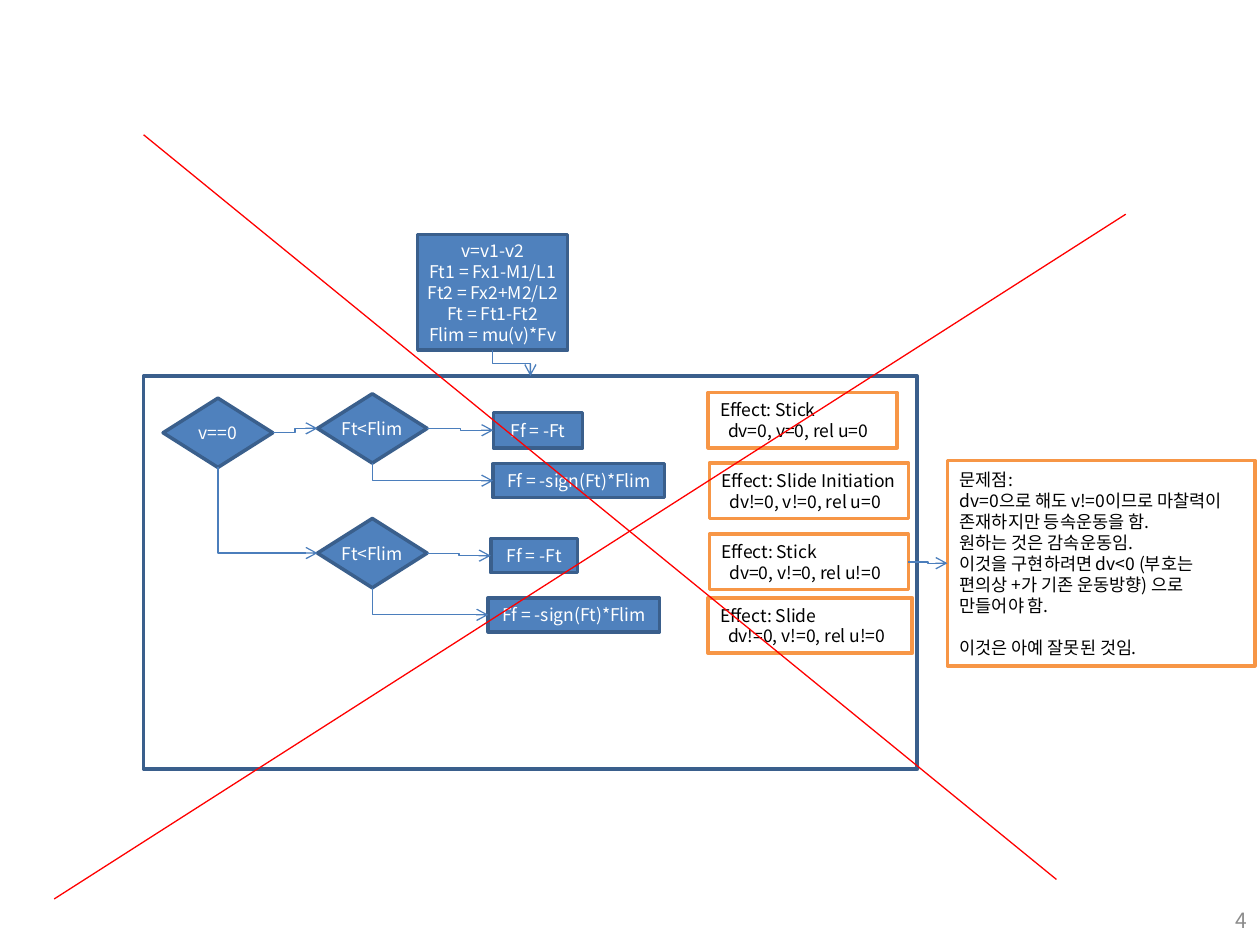
from dataclasses import dataclass
from lxml import etree
from pptx import Presentation, util as u
from pptx.dml.color import RGBColor
from pptx.enum import shapes, text
from pptx.oxml.ns import qn

BLUE = RGBColor(0x4F, 0x81, 0xBD)
NAVY = RGBColor(0x3A, 0x5F, 0x8C)
ARROW = RGBColor(0x4B, 0x7E, 0xBC)
ORANGE = RGBColor(0xF7, 0x96, 0x46)
WHITE = RGBColor(0xFF, 0xFF, 0xFF)
BLACK = RGBColor(0, 0, 0)
GRAY = RGBColor(0x8C, 0x8C, 0x8C)
RED = RGBColor(0xFF, 0, 0)
FONT = "Noto Sans CJK KR"

# The slide is a grid of 100 columns by 75 rows of square cells
SLIDE_W, SLIDE_H = u.Inches(10), u.Inches(7.5)
CELL = SLIDE_W / 100

RECT, DIAMOND = shapes.MSO_SHAPE.RECTANGLE, shapes.MSO_SHAPE.DIAMOND
LEFT, CENTER, RIGHT = text.PP_ALIGN.LEFT, text.PP_ALIGN.CENTER, text.PP_ALIGN.RIGHT
TOP_SITE, LEFT_SITE, BOTTOM_SITE, RIGHT_SITE = range(4)


@dataclass
class Style:
    fill: RGBColor | None
    line: RGBColor
    color: RGBColor = WHITE
    align: int = CENTER
    wrap: bool = False
    geometry: int = RECT


@dataclass
class Box:
    name: str
    style: Style
    col: float
    row: float
    cols: float
    rows: float
    lines: tuple = ()


@dataclass
class Link:
    start: str
    end: str
    down: bool = False
    geometry: str = "bentConnector3"
    end_site: int = LEFT_SITE


STEP = Style(BLUE, NAVY)
TEST = Style(BLUE, NAVY, geometry=DIAMOND)
FRAME = Style(None, NAVY)
REMARK = Style(WHITE, ORANGE, BLACK, LEFT, True)

SLIDE_FORCE = ("Ff = -sign(Ft)*Flim",)
STICK_FORCE = ("Ff = -Ft",)

BOXES = [
    Box("frame", FRAME, 11.4, 29.85, 61.4, 31.2),
    Box("inputs", STEP, 33.15, 18.6, 11.9, 9.2,
        ("v=v1-v2", "Ft1 = Fx1-M1/L1", "Ft2 = Fx2+M2/L2", "Ft = Ft1-Ft2",
         "Flim = mu(v)*Fv")),
    # Decisions
    Box("still", TEST, 12.95, 31.6, 8.7, 5.5, ("v==0",)),
    Box("test 1", TEST, 25.2, 31.25, 8.7, 5.5, ("Ft<Flim",)),
    Box("test 2", TEST, 25.2, 41.15, 8.7, 5.5, ("Ft<Flim",)),
    # Friction forces
    Box("force 1", STEP, 39.15, 32.75, 7.1, 2.8, STICK_FORCE),
    Box("force 2", STEP, 39.15, 36.8, 13.6, 2.7, SLIDE_FORCE),
    Box("force 3", STEP, 38.95, 42.75, 6.9, 2.7, STICK_FORCE),
    Box("force 4", STEP, 38.75, 47.45, 13.6, 2.7, SLIDE_FORCE),
    # Effects
    Box("effect 1", REMARK, 56.2, 31.15, 15, 4.4,
        ("Effect: Stick", "dv=0, v=0, rel u=0")),
    Box("effect 2", REMARK, 56.3, 36.75, 15.8, 4.4,
        ("Effect: Slide Initiation", "dv!=0, v!=0, rel u=0")),
    Box("effect 3", REMARK, 56.3, 42.4, 15.8, 4.4,
        ("Effect: Stick", "dv=0, v!=0, rel u!=0")),
    Box("effect 4", REMARK, 56.2, 47.45, 16.2, 4.4,
        ("Effect: Slide", "dv!=0, v!=0, rel u!=0")),
    Box("problem", REMARK, 75.2, 36.55, 24.4, 16.3,
        ("문제점:", "dv=0으로 해도 v!=0이므로 마찰력이 존재하지만 등속운동을 함.",
         "원하는 것은 감속운동임.",
         "이것을 구현하려면 dv<0 (부호는 편의상 +가 기존 운동방향) 으로 만들어야 함.",
         "이것은 아예 잘못된 것임.")),
]

LINKS = [
    Link("inputs", "frame", True, end_site=TOP_SITE),
    Link("still", "test 1"),
    Link("still", "test 2", True, "bentConnector2"),
    Link("test 1", "force 1"),
    Link("test 1", "force 2", True, "bentConnector2"),
    Link("test 2", "force 3"),
    Link("test 2", "force 4", True, "bentConnector2"),
    Link("effect 3", "problem"),
]

CROSS = [(11.4, 10.7, 83.85, 69.8), (89.35, 17, 4.3, 71.35)]


def cells(*counts: float) -> list[int]:
    return [round(n * CELL) for n in counts]


def set_attrs(obj, values: dict) -> None:
    for name, value in values.items():
        setattr(obj, name, value)


def write(tf, lines: tuple, color: RGBColor, align: int, size: int = 10) -> None:
    for i, line in enumerate(lines):
        p = tf.paragraphs[0] if i == 0 else tf.add_paragraph()
        set_attrs(p, {"alignment": align, "line_spacing": u.Pt(size * 1.2)})
        r = p.add_run()
        r.text = line
        set_attrs(r.font, {"name": FONT, "size": u.Pt(size)})
        r.font.color.rgb = color
        etree.SubElement(r.font._element, qn("a:ea")).set("typeface", FONT)


def draw_box(slide, box: Box):
    style = box.style
    sp = slide.shapes.add_shape(
        style.geometry, *cells(box.col, box.row, box.cols, box.rows))
    sp.shadow.inherit = False
    if style.fill is None:
        sp.fill.background()
    else:
        sp.fill.solid()
        sp.fill.fore_color.rgb = style.fill
    sp.line.color.rgb = style.line
    sp.line.width = u.Pt(2)
    tf = sp.text_frame
    set_attrs(tf, {"word_wrap": style.wrap, "vertical_anchor": text.MSO_ANCHOR.MIDDLE,
                   "margin_top": 0, "margin_bottom": 0})
    if not style.wrap:
        set_attrs(tf, {"margin_left": 0, "margin_right": 0})
    elif box.name.startswith("effect"):
        tf.margin_right = 0
    write(tf, box.lines, style.color, style.align)
    return sp


def draw_line(slide, kind: int, ends: list[int], color: RGBColor):
    c = slide.shapes.add_connector(kind, *ends)
    c.line.color.rgb = color
    c.line.width = u.Pt(0.75)
    etree.SubElement(c.element.spPr, qn("a:effectLst"))
    return c


def draw_link(slide, link: Link, drawn: dict) -> None:
    c = draw_line(slide, shapes.MSO_CONNECTOR.ELBOW, [0, 0, 0, 0], ARROW)
    c.begin_connect(drawn[link.start], BOTTOM_SITE if link.down else RIGHT_SITE)
    c.end_connect(drawn[link.end], link.end_site)
    c.element.spPr.find(qn("a:prstGeom")).set("prst", link.geometry)
    if link.down:
        # A quarter turn about the centre makes the path leave downwards
        w, h = c.width, c.height
        set_attrs(c, {"left": c.left + (w - h) // 2, "top": c.top + (h - w) // 2,
                      "width": h, "height": w})
        xfrm = c.element.spPr.find(qn("a:xfrm"))
        xfrm.set("rot", str(270 * 60000))
        xfrm.set("flipH", "1")
    etree.SubElement(c.line._get_or_add_ln(), qn("a:tailEnd")).set("type", "arrow")


def main() -> None:
    prs = Presentation()
    set_attrs(prs, {"slide_width": SLIDE_W, "slide_height": SLIDE_H})
    slide = prs.slides.add_slide(prs.slide_layouts[6])

    # Flow chart
    drawn = {box.name: draw_box(slide, box) for box in BOXES}
    for name in ("effect 1", "effect 2", "effect 3", "effect 4"):
        detail = drawn[name].text_frame.paragraphs[1]
        detail._p.get_or_add_pPr().set("marL", str(u.Inches(0.06)))
    drawn["problem"].text_frame.paragraphs[-1].space_before = u.Pt(12)
    for link in LINKS:
        draw_link(slide, link, drawn)

    # Crossing-out lines
    for ends in CROSS:
        draw_line(slide, shapes.MSO_CONNECTOR.STRAIGHT, cells(*ends), RED)

    # Page number
    tf = slide.shapes.add_textbox(*cells(76.7, 71, 23.3, 4)).text_frame
    set_attrs(tf, {"word_wrap": True, "vertical_anchor": text.MSO_ANCHOR.MIDDLE})
    write(tf, ("4",), GRAY, RIGHT, 12)

    prs.save("out.pptx")


if __name__ == "__main__":
    main()
